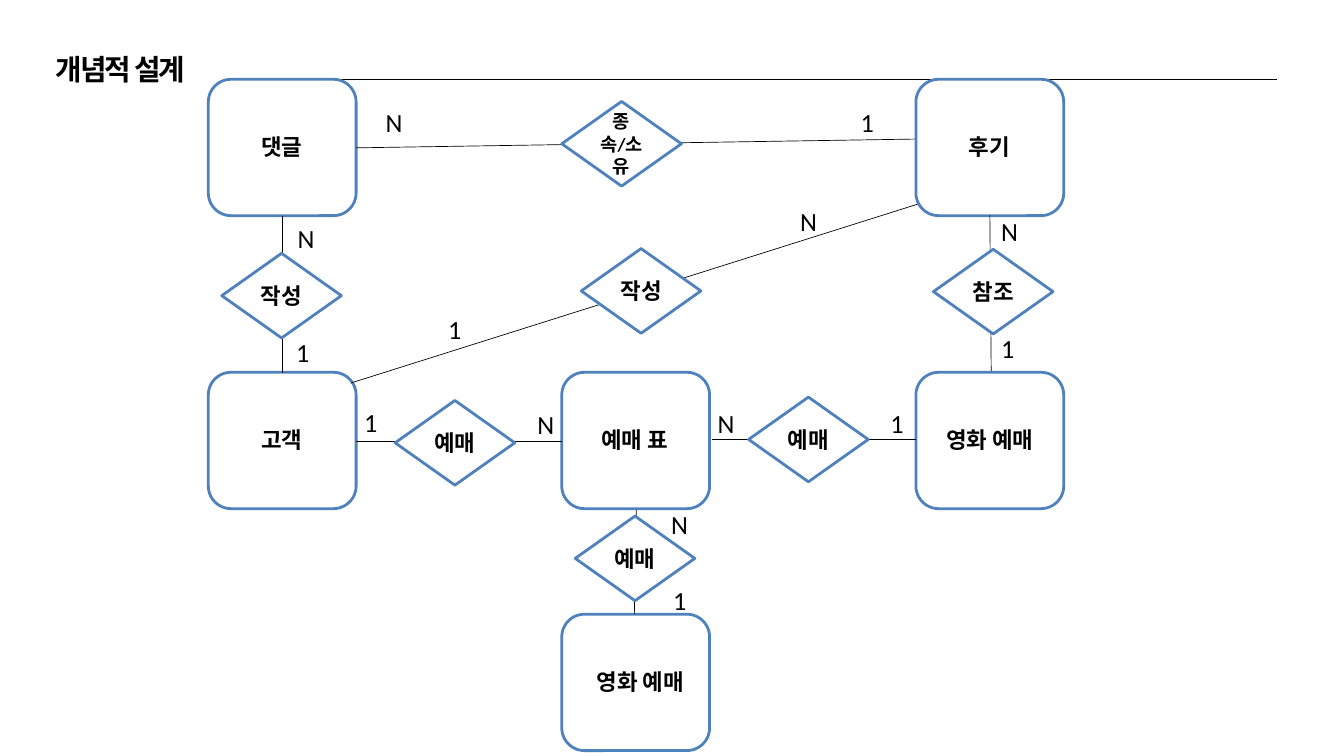
import pptx
import pptx.util
import pptx.dml.color
import pptx.enum.shapes
import pptx.enum.text
import pptx.oxml.ns
from lxml import etree

INK = pptx.dml.color.RGBColor(0, 0, 0)
PAPER = pptx.dml.color.RGBColor(255, 255, 255)
BLUE = pptx.dml.color.RGBColor(0x4F, 0x81, 0xBD)
KIND = pptx.enum.shapes.MSO_SHAPE
inch = pptx.util.Inches

TITLE = "개념적 설계"
COLS = [3.1, 8.36, 13.63]
ROWS = [1.18, 5.54, 9.14]
BOX = (2.2, 2.03)
GEM = (1.78, 1.26)
TAG = (0.75, 0.57)

# name, column, row, label inset, label width
ENTITIES = [
    ("고객", 0, 1, 0.69, 1.3),
    ("예매 표", 1, 1, 0.49, 1.3),
    ("영화 예매", 1, 2, 0.42, 1.76),
    ("영화 예매", 2, 1, 0.35, 1.76),
    ("후기", 2, 0, 0.69, 1.3),
    ("댓글", 0, 0, 0.69, 1.3),
]

# name, text size, diamond corner, line start, line end, end marks
LINKS = [
    ("예매", 24, (5.88, 5.96), (5.3, 6.57), (8.37, 6.57),
     [("1", 5.32, 6), ("N", 7.9, 6.03)]),
    ("예매", 24, (8.56, 7.68), (9.47, 7.59), (9.44, 9.14),
     [("N", 9.89, 7.52), ("1", 9.92, 8.65)]),
    ("예매", 24, (11.14, 5.91), (10.59, 6.54), (13.63, 6.54),
     [("N", 10.58, 6.01), ("1", 13.15, 6.01)]),
    ("참조", 24, (13.89, 3.71), (14.73, 3.2), (14.75, 5.52),
     [("N", 14.8, 3.15), ("1", 14.8, 4.9)]),
    ("작성", 24, (8.65, 3.7), (13.65, 3.04), (5.22, 5.7),
     [("N", 11.81, 3), ("1", 6.57, 4.62)]),
    ("작성", 24, (3.3, 3.77), (4.2, 3.22), (4.2, 5.55),
     [("N", 4.33, 3.26), ("1", 4.31, 4.96)]),
    ("종속/소유", 20, (8.36, 1.51), (13.61, 2.07), (5.3, 2.2),
     [("1", 12.71, 1.54), ("N", 5.64, 1.54)]),
]


def write(shape, text, size, bold, face="Calibri"):
    frame = shape.text_frame
    frame.word_wrap = True
    para = frame.paragraphs[0]
    para.text = text
    font = para.font
    font.name, font.size, font.bold = face, pptx.util.Pt(size), bold
    font.color.rgb = INK
    return para


def label(slide, text, spot, area, size, bold, face="Calibri"):
    box = slide.shapes.add_textbox(*map(inch, spot + area))
    para = write(box, text, size, bold, face)
    box.text_frame.auto_size = pptx.enum.text.MSO_AUTO_SIZE.SHAPE_TO_FIT_TEXT
    return box.text_frame, para


def block(slide, kind, spot, area):
    shape = slide.shapes.add_shape(kind, *map(inch, spot + area))
    shape.shadow.inherit = False
    shape.fill.solid()
    shape.fill.fore_color.rgb = PAPER
    shape.line.color.rgb = BLUE
    shape.line.width = pptx.util.Pt(3)
    return shape


def wire(slide, start, end):
    line = slide.shapes.add_connector(
        pptx.enum.shapes.MSO_CONNECTOR.STRAIGHT, *map(inch, start + end))
    line.line.color.rgb = INK
    line.line.width = pptx.util.Pt(0.75)
    props = line._element.spPr
    etree.SubElement(props, pptx.oxml.ns.qn("a:effectLst"))


def header(slide):
    left, top, right, low = map(inch, (3.35, 1.17, 19, 1.18))
    build = slide.shapes.build_freeform(left, top)
    build.add_line_segments([(right, top), (right, low), (left, low)])
    rule = build.convert_to_shape()
    rule.shadow.inherit = False
    rule.fill.solid()
    rule.fill.fore_color.rgb = INK
    rule.line.fill.background()
    frame, para = label(slide, TITLE, (0.83, 0.68), (3.81, 0.54),
                        30.9, True, "Arial")
    frame.margin_left = frame.margin_right = 0
    frame.margin_top = frame.margin_bottom = 0
    para.line_spacing = pptx.util.Pt(43.3)
    para.runs[0]._r.get_or_add_rPr().set("spc", "-200")


def main():
    deck = pptx.Presentation()
    deck.slide_width, deck.slide_height = inch(20), inch(11.25)
    slide = deck.slides.add_slide(deck.slide_layouts[6])
    header(slide)
    for name, col, row, inset, width in ENTITIES:
        x, y = COLS[col], ROWS[row]
        block(slide, KIND.ROUNDED_RECTANGLE, (x, y), BOX)
        label(slide, name, (x + inset, y + 0.75), (width, 0.5), 24, True)
    for name, size, spot, start, end, marks in LINKS:
        wire(slide, start, end)
        gem = block(slide, KIND.FLOWCHART_DECISION, spot, GEM)
        para = write(gem, name, size, True)
        para.alignment = pptx.enum.text.PP_ALIGN.CENTER
        gem.text_frame.vertical_anchor = pptx.enum.text.MSO_ANCHOR.MIDDLE
        for mark, x, y in marks:
            label(slide, mark, (x, y), TAG, 28, False)
    deck.save("out.pptx")


if __name__ == "__main__":
    main()
